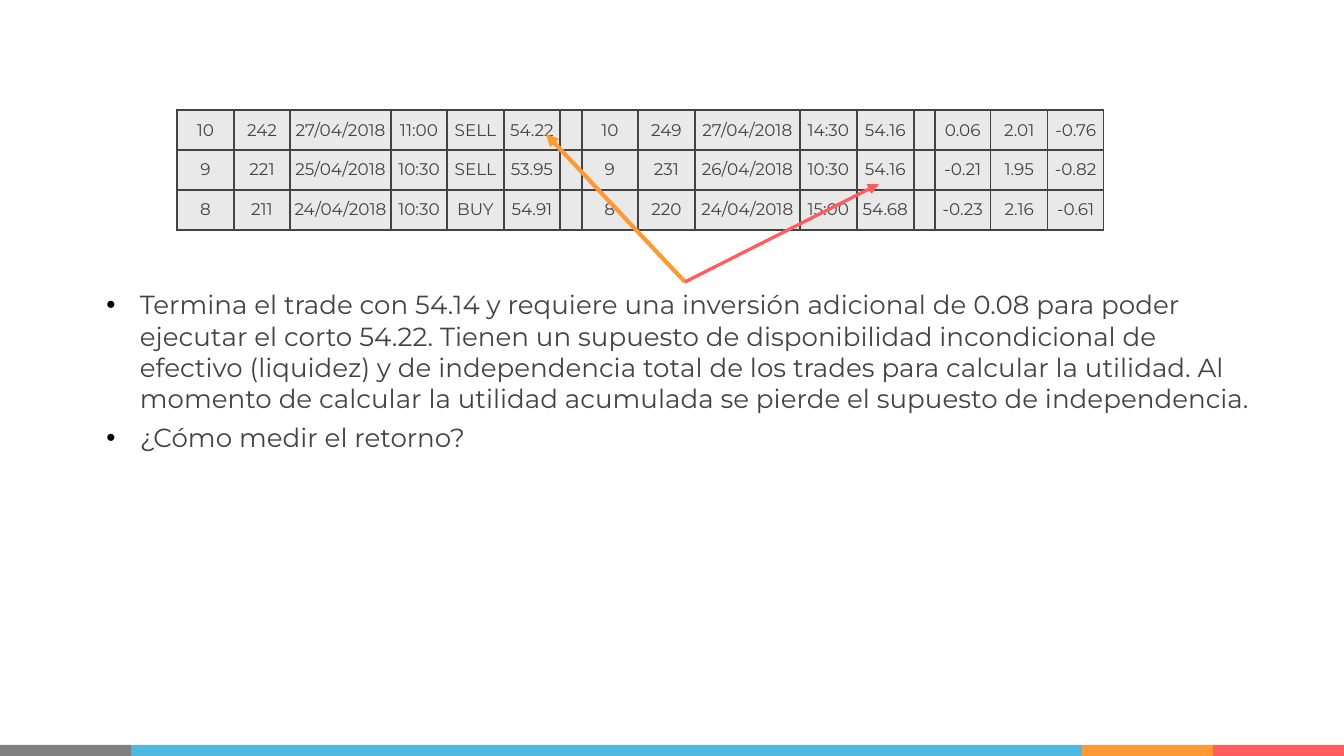
from lxml import etree
from pptx import Presentation
from pptx.dml.color import RGBColor
from pptx.enum.shapes import MSO_CONNECTOR, MSO_SHAPE
from pptx.enum.text import MSO_ANCHOR, PP_ALIGN
from pptx.oxml.ns import qn
from pptx.util import Pt

RECTANGLE = MSO_SHAPE.RECTANGLE
STRAIGHT = MSO_CONNECTOR.STRAIGHT
MIDDLE = MSO_ANCHOR.MIDDLE
CENTER = PP_ALIGN.CENTER

EMU_PER_PX = 914400 / 134.4
WIDTH, HEIGHT = 1344, 756
BLANK_LAYOUT = 6

GRAY, BLUE, ORANGE, RED = "808080", "4EB8E1", "FF9933", "FF5D5D"
CELL_FILL = "E9E9E9"


def px(length):
    return round(length * EMU_PER_PX)


def color(hex_string):
    return RGBColor.from_string(hex_string)


def add_xml(parent, tag, **attributes):
    return etree.SubElement(parent, qn(tag), **attributes)


class SlideBuilder:
    font = "Montserrat"
    ink = "434343"
    bullet_color = "000000"

    def __init__(self, slide):
        self.slide = slide

    def run(self, paragraph, text, size):
        run = paragraph.add_run()
        run.text = text
        run.font.name = self.font
        run.font.size = Pt(size)
        run.font.color.rgb = color(self.ink)

    def bar(self, left, top, width, height, fill):
        bar = self.slide.shapes.add_shape(
            RECTANGLE, px(left), px(top), px(width), px(height))
        bar.shadow.inherit = False
        bar.fill.solid()
        bar.fill.fore_color.rgb = color(fill)
        bar.line.fill.background()

    def cell(self, cell, text, size):
        cell.margin_left = cell.margin_right = 0
        cell.margin_top = cell.margin_bottom = 0
        cell.vertical_anchor = MIDDLE
        paragraph = cell.text_frame.paragraphs[0]
        paragraph.alignment = CENTER
        if text:
            self.run(paragraph, text, size)
        else:
            # Keeps an empty cell from stretching its row
            add_xml(paragraph._p, "a:endParaRPr", sz=str(size * 100))

        properties = cell._tc.get_or_add_tcPr()
        for side in ("a:lnL", "a:lnR", "a:lnT", "a:lnB"):
            border = add_xml(properties, side, w=str(Pt(1)))
            fill = add_xml(border, "a:solidFill")
            add_xml(fill, "a:srgbClr", val=self.ink)
        cell.fill.solid()
        cell.fill.fore_color.rgb = color(CELL_FILL)

    def table(self, column_edges, top, row_height, rows, size):
        left, right = column_edges[0], column_edges[-1]
        table = self.slide.shapes.add_table(
            len(rows), len(column_edges) - 1, px(left), px(top),
            px(right - left), px(row_height * len(rows))).table
        table.first_row = table.horz_banding = False
        for column, start, end in zip(table.columns, column_edges, column_edges[1:]):
            column.width = px(end - start)
        for row, texts in zip(table.rows, rows):
            row.height = px(row_height)
            for cell, text in zip(row.cells, texts):
                self.cell(cell, text, size)

    def bullets(self, left, top, width, height, texts, size):
        frame = self.slide.shapes.add_textbox(
            px(left), px(top), px(width), px(height)).text_frame
        frame.word_wrap = True
        for index, text in enumerate(texts):
            paragraph = frame.add_paragraph() if index else frame.paragraphs[0]
            paragraph.space_before = Pt(4)
            properties = paragraph._p.get_or_add_pPr()
            properties.set("marL", str(Pt(18)))
            properties.set("indent", str(-Pt(18)))
            bullet_fill = add_xml(properties, "a:buClr")
            add_xml(bullet_fill, "a:srgbClr", val=self.bullet_color)
            add_xml(properties, "a:buFont", typeface="Arial")
            add_xml(properties, "a:buChar", char="•")
            self.run(paragraph, text, size)

    def arrow(self, start, end, stroke, weight):
        arrow = self.slide.shapes.add_connector(
            STRAIGHT, *(px(value) for value in start + end))
        arrow.line.color.rgb = color(stroke)
        arrow.line.width = Pt(weight)
        add_xml(arrow.line._get_or_add_ln(), "a:tailEnd", type="triangle")
        add_xml(arrow._element.spPr, "a:effectLst")


def main():
    presentation = Presentation()
    presentation.slide_width, presentation.slide_height = px(WIDTH), px(HEIGHT)
    layout = presentation.slide_layouts[BLANK_LAYOUT]
    builder = SlideBuilder(presentation.slides.add_slide(layout))

    # Footer stripe
    stripe_height, end_width = 11, 131
    stripe_left = 0
    middle_width = WIDTH - 3 * end_width
    for width, fill in ((end_width, GRAY), (middle_width, BLUE),
                        (end_width, ORANGE), (end_width, RED)):
        builder.bar(stripe_left, HEIGHT - stripe_height, width, stripe_height, fill)
        stripe_left += width

    # Trades: entry, exit and results, parted by narrow empty columns
    trade_edges = [177, 234, 290, 391, 447, 504, 560, 582, 638,
                   695, 800, 857, 914, 935, 991, 1048, 1104]
    trades = [
        ["10", "242", "27/04/2018", "11:00", "SELL", "54.22", "",
         "10", "249", "27/04/2018", "14:30", "54.16", "", "0.06", "2.01", "-0.76"],
        ["9", "221", "25/04/2018", "10:30", "SELL", "53.95", "",
         "9", "231", "26/04/2018", "10:30", "54.16", "", "-0.21", "1.95", "-0.82"],
        ["8", "211", "24/04/2018", "10:30", "BUY", "54.91", "",
         "8", "220", "24/04/2018", "15:00", "54.68", "", "-0.23", "2.16", "-0.61"],
    ]
    builder.table(trade_edges, 110, 40, trades, 9)

    # Remarks
    remarks = [
        "Termina el trade con 54.14 y requiere una inversión adicional de 0.08 "
        "para poder ejecutar el corto 54.22. Tienen un supuesto de disponibilidad "
        "incondicional de efectivo (liquidez) y de independencia total de los "
        "trades para calcular la utilidad. Al momento de calcular la utilidad "
        "acumulada se pierde el supuesto de independencia.",
        "¿Cómo medir el retorno?",
    ]
    builder.bullets(93, 282, 1185, 180, remarks, 14)

    # Arrows from the first remark to the two prices
    remark_point = (685, 282)
    builder.arrow(remark_point, (546, 134), ORANGE, 2.25)
    builder.arrow(remark_point, (879, 184), RED, 1.75)

    presentation.save("out.pptx")


if __name__ == "__main__":
    main()
